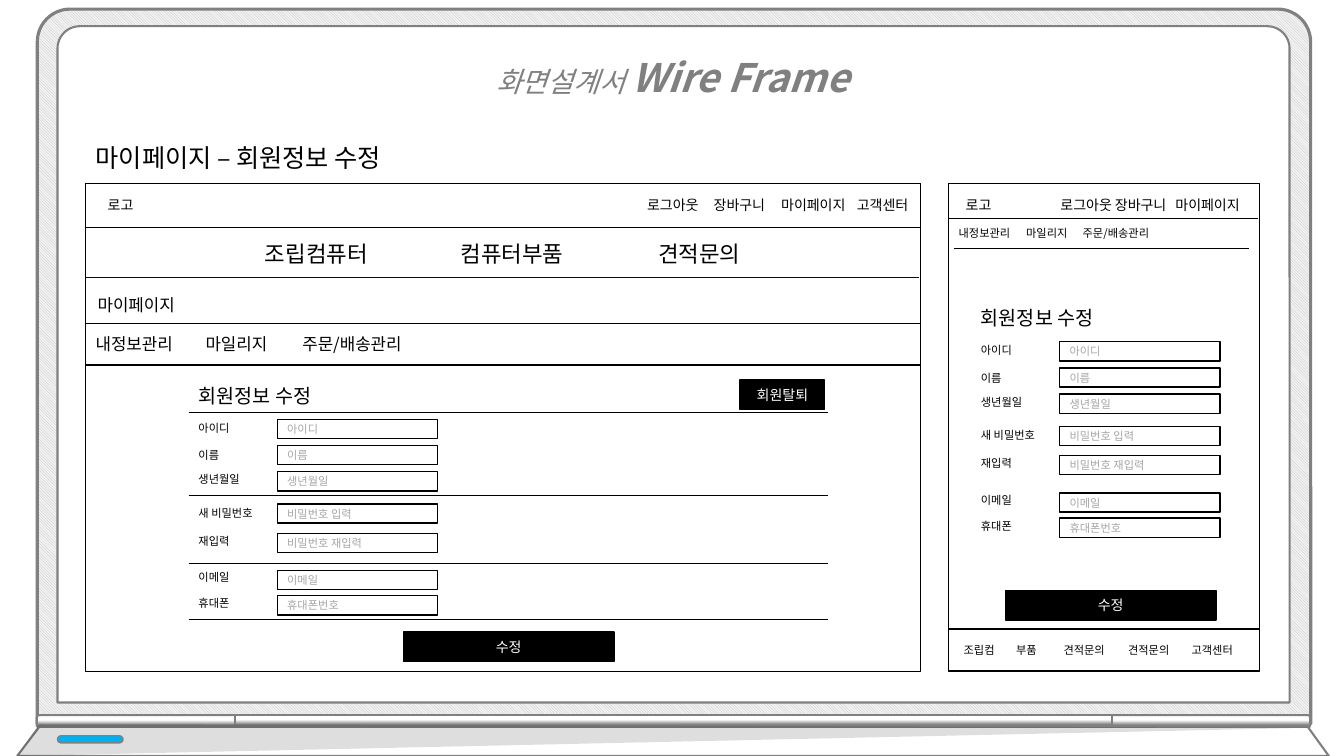
from lxml.etree import SubElement
from pptx import Presentation
from pptx.dml.color import RGBColor
from pptx.enum.dml import MSO_PATTERN
from pptx.enum.shapes import MSO_CONNECTOR, MSO_SHAPE
from pptx.enum.text import MSO_ANCHOR, PP_ALIGN
from pptx.oxml.ns import qn
from pptx.util import Pt

PX = 9144  # one hundredth of an inch in EMU
FONT = "Noto Sans CJK KR"
BLACK, WHITE, GRAY, HINT = "000000", "FFFFFF", "808080", "A6A6A6"
FORM_ROWS = [  # label, hint, label top, field top
    ("아이디", "아이디", 37, 40),
    ("이름", "이름", 64, 66),
    ("생년월일", "생년월일", 88, 92),
    ("새 비밀번호", "비밀번호 입력", 121, 124),
    ("재입력", "비밀번호 재입력", 149, 153),
    ("이메일", "이메일", 185, 190),
    ("휴대폰", "휴대폰번호", 211, 215),
]
FOOTER_ITEMS = [("조립컴", 946), ("부품", 998), ("견적문의", 1045),
                ("견적문의", 1109), ("고객센터", 1172)]


def rgb(color):
    return RGBColor.from_string(color)


def emu(*lengths):
    return [length * PX for length in lengths]


def add_span(para, text, size, color, **formats):
    span = para.add_run()
    span.text = text
    values = {"size": Pt(size), "name": FONT, **formats}
    for name, value in values.items():
        setattr(span.font, name, value)
    span.font.color.rgb = rgb(color)
    SubElement(span.font._element, qn("a:ea"), typeface=FONT)


def add_tabs(para, stops):
    tab_list = SubElement(para._p.get_or_add_pPr(), qn("a:tabLst"))
    for stop in stops:
        SubElement(tab_list, qn("a:tab"), pos=str(stop * PX), algn="l")


def write(box, text, size, color=BLACK, align=PP_ALIGN.LEFT, tabs=()):
    box.text_frame.word_wrap = True
    para = box.text_frame.paragraphs[0]
    para.alignment = align
    if tabs:
        add_tabs(para, tabs)
    add_span(para, text, size, color)


def add_label(page, text, left, top, width, height, size, tabs=()):
    box = page.shapes.add_textbox(*emu(left, top, width, height))
    write(box, text, size, tabs=tabs)


def style(shape, fill, line, weight):
    shape.shadow.inherit = False
    if fill:
        shape.fill.solid()
        shape.fill.fore_color.rgb = rgb(fill)
    if line:
        shape.line.color.rgb = rgb(line)
        shape.line.width = Pt(weight)
    else:
        shape.line.fill.background()


def add_block(page, left, top, width, height, fill=WHITE, line=BLACK, weight=1,
              kind=MSO_SHAPE.RECTANGLE, corners=()):
    block = page.shapes.add_shape(kind, *emu(left, top, width, height))
    for index, corner in enumerate(corners):
        block.adjustments[index] = corner
    style(block, fill, line, weight)
    block.text_frame.vertical_anchor = MSO_ANCHOR.MIDDLE
    return block


def add_button(page, text, left, top, width):
    button = add_block(page, left, top, width, 29, fill=BLACK)
    write(button, text, 10, WHITE, PP_ALIGN.CENTER)


def add_rule(page, left, right, y, color=BLACK):
    rule = page.shapes.add_connector(MSO_CONNECTOR.STRAIGHT, *emu(left, y, right, y))
    rule.line.color.rgb = rgb(color)
    rule.line.width = Pt(0.5)
    SubElement(rule._element.spPr, qn("a:effectLst"))


def add_outline(page, points, fill, line=None):
    builder = page.shapes.build_freeform(*points[0], scale=PX)
    builder.add_line_segments(points[1:], close=True)
    outline = builder.convert_to_shape()
    style(outline, fill, line, 1.5)
    return outline


def add_hinge(page, left, top, height, rotation, corner):
    hinge = add_block(page, left, top, 12, height, None, GRAY, 1.5,
                      MSO_SHAPE.ROUND_2_SAME_RECTANGLE, (corner, 0))
    hinge.rotation = rotation
    hinge.fill.gradient()
    hinge.fill.gradient_angle = 0
    for stop, (position, color) in zip(hinge.fill.gradient_stops,
                                       [(0.17, GRAY), (0.59, WHITE)]):
        stop.position = position
        stop.color.rgb = rgb(color)
    return hinge


def draw_laptop(page):
    rounded = MSO_SHAPE.ROUND_2_SAME_RECTANGLE
    lid = add_block(page, 37, 9, 1263, 709, None, GRAY, 2.25, rounded, (0.046, 0))
    lid.fill.patterned()
    lid.fill.pattern = MSO_PATTERN.LIGHT_DOWNWARD_DIAGONAL
    lid.fill.fore_color.rgb = rgb("BFBFBF")
    lid.fill.back_color.rgb = rgb("F2F2F2")
    add_block(page, 57, 26, 1222, 671, WHITE, GRAY, 1.5, rounded, (0.033, 0))

    add_hinge(page, 129, 617, 197, 270, 0.19)
    right_hinge = add_hinge(page, 1195, 617, 197, 90, 0.19)
    right_hinge._element.spPr.find(qn("a:xfrm")).set("flipH", "1")
    add_hinge(page, 662, 280, 870, 270, 0)

    add_outline(page, [(39, 721), (1297, 721), (1318, 750), (17, 750)], WHITE, GRAY)
    shade = add_outline(page, [(39, 718), (17, 750), (1302, 722)], BLACK)
    shade_color = shade._element.spPr.find(qn("a:solidFill"))[0]
    SubElement(shade_color, qn("a:alpha"), val="13000")
    add_block(page, 57, 730, 65, 7, "00B0F0", GRAY, 1,
              MSO_SHAPE.ROUNDED_RECTANGLE, (0.5,))


def draw_title(page):
    title = page.shapes.title
    title.left, title.top, title.width, title.height = emu(367, 25, 600, 81)
    title.text_frame.vertical_anchor = MSO_ANCHOR.TOP
    title.text_frame.word_wrap = True
    para = title.text_frame.paragraphs[0]
    para.alignment = PP_ALIGN.CENTER
    para.line_spacing = 1.5
    add_span(para, "화면설계서 ", 20, GRAY, italic=True)
    add_span(para, "Wire Frame", 28, GRAY, italic=True, bold=True)
    # The title comes first in the layout, so lift it above the laptop.
    title._element.getparent().append(title._element)


def draw_form(page, left, top):
    add_label(page, "회원정보 수정", left, top, 179, 34, 14)
    for label, hint, label_top, field_top in FORM_ROWS:
        add_label(page, label, left, top + label_top, 179, 24, 8)
        field = add_block(page, left + 88, top + field_top, 159, 19)
        write(field, hint, 8, HINT)


def draw_desktop(page):
    add_block(page, 85, 182, 828, 484)
    add_block(page, 85, 182, 828, 44)
    add_label(page, "로고", 97, 190, 241, 27, 10)
    add_label(page, "로그아웃\t장바구니\t마이페이지\t고객센터",
              632, 190, 279, 27, 10, (66, 133, 208))
    add_label(page, "조립컴퓨터\t컴퓨터부품\t견적문의", 253, 233, 660, 37, 16, (194, 390))
    add_rule(page, 85, 911, 275, "0D0D0D")
    add_label(page, "마이페이지", 87, 287, 227, 30, 12)
    submenu = add_block(page, 85, 321, 828, 41)
    write(submenu, "내정보관리\t마일리지\t주문/배송관리", 12, tabs=(109, 205))
    for y in (409, 491, 559, 614):
        add_rule(page, 187, 821, y)
    draw_form(page, 187, 376)
    add_button(page, "회원탈퇴", 734, 377, 84)
    add_button(page, "수정", 400, 627, 209)


def draw_mobile(page):
    add_block(page, 941, 182, 308, 484)
    add_label(page, "로고", 948, 190, 52, 27, 10)
    add_label(page, "로그아웃\t장바구니\t마이페이지", 1042, 190, 200, 27, 10, (54, 114))
    add_rule(page, 941, 1248, 217)
    add_label(page, "내정보관리\t마일리지\t주문/배송관리", 941, 220, 293, 24, 8, (67, 123))
    add_rule(page, 946, 1239, 246)
    draw_form(page, 963, 299)
    add_button(page, "수정", 997, 586, 209)
    add_block(page, 941, 624, 308, 41)
    for text, left in FOOTER_ITEMS:
        add_label(page, text, left, 633, 66, 24, 8)


def main():
    deck = Presentation()
    deck.slide_width, deck.slide_height = emu(1333, 750)
    page = deck.slides.add_slide(deck.slide_layouts[5])
    draw_laptop(page)
    draw_title(page)
    add_label(page, "마이페이지 – 회원정보 수정", 85, 136, 349, 40, 18)
    draw_desktop(page)
    draw_mobile(page)
    deck.save("out.pptx")


if __name__ == "__main__":
    main()
